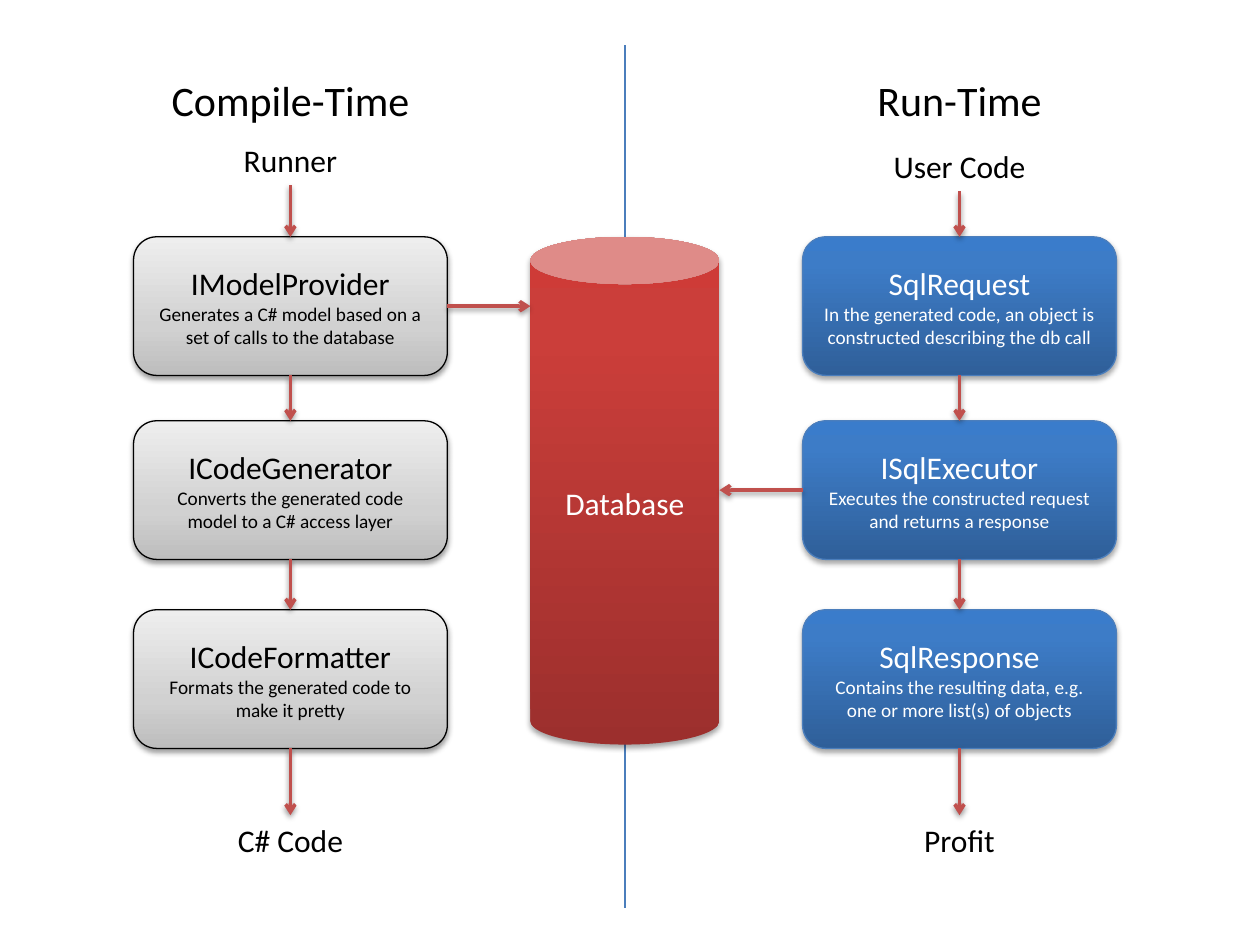
from lxml import etree
from pptx import Presentation
from pptx.dml.color import RGBColor
from pptx.enum.shapes import MSO_CONNECTOR, MSO_SHAPE
from pptx.enum.text import MSO_ANCHOR, PP_ALIGN
from pptx.oxml.ns import qn
from pptx.util import Inches, Pt

BLACK = RGBColor(0x00, 0x00, 0x00)
WHITE = RGBColor(0xFF, 0xFF, 0xFF)
BLUE = RGBColor(0x4B, 0x7E, 0xBC)
RED = RGBColor(0xC0, 0x50, 0x4D)
GREY_FADE = [(0, RGBColor(0xBD, 0xBD, 0xBD)), (35, RGBColor(0xD1, 0xD1, 0xD1)),
             (100, RGBColor(0xEE, 0xEE, 0xEE))]
BLUE_FADE = [(0, RGBColor(0x2F, 0x5F, 0x99)), (80, RGBColor(0x3D, 0x7C, 0xC7)),
             (100, RGBColor(0x3A, 0x7C, 0xCB))]
RED_FADE = [(0, RGBColor(0x9C, 0x2F, 0x2D)), (80, RGBColor(0xCB, 0x3E, 0x3A)),
            (100, RGBColor(0xCE, 0x3B, 0x37))]

FONT = "Calibri"
COLUMN_W, STEP_H = 2.49, 1.1
LEFT_X, RIGHT_X = 1.06, 6.37
STEP_TOPS = (1.88, 3.34, 4.84)
HEADING_TOP, HEADING_H = 0.54, 0.5
LABEL_H, RESULT_TOP = 0.4, 6.47
DATABASE = (4.21, STEP_TOPS[0], 1.5, 4.03)


def add_child(parent, tag, **attributes):
    child = etree.SubElement(parent, qn(tag))
    for name, value in attributes.items():
        child.set(name, str(value))
    return child


def set_effects(shape, shadow=None):
    effects = add_child(shape._element.spPr, "a:effectLst")
    if shadow:
        opacity, distance = shadow
        outer = add_child(effects, "a:outerShdw", blurRad=Pt(3.1), dist=Pt(distance),
                          dir=90 * 60000, rotWithShape=0)
        color = add_child(outer, "a:srgbClr", val=BLACK)
        add_child(color, "a:alpha", val=opacity * 1000)


def set_fade(shape, stops):
    shape.fill.gradient()
    shape.fill.gradient_angle = 90
    stop_list = shape._element.spPr.find(".//" + qn("a:gsLst"))
    for old_stop in list(stop_list):
        stop_list.remove(old_stop)
    for position, color in stops:
        stop = add_child(stop_list, "a:gs", pos=position * 1000)
        add_child(stop, "a:srgbClr", val=color)


def write(shape, lines, color, anchor=MSO_ANCHOR.MIDDLE):
    frame = shape.text_frame
    frame.word_wrap = True
    frame.vertical_anchor = anchor
    for number, (text, size) in enumerate(lines):
        paragraph = frame.add_paragraph() if number else frame.paragraphs[0]
        paragraph.alignment = PP_ALIGN.CENTER
        paragraph.space_before = Pt(0)
        run = paragraph.add_run()
        run.text = text
        run.font.name, run.font.size, run.font.bold = FONT, Pt(size), False
        run.font.color.rgb = color


def place(shape, box):
    shape.left, shape.top, shape.width, shape.height = map(Inches, box)


def add_line(slide, start, end, color, width):
    line = slide.shapes.add_connector(MSO_CONNECTOR.STRAIGHT, *map(Inches, start + end))
    line.line.color.rgb = color
    line.line.width = Pt(width)
    return line


def add_divider(slide, x, top, bottom):
    set_effects(add_line(slide, (x, top), (x, bottom), BLUE, 0.75))


def add_arrow(slide, start, end):
    arrow = add_line(slide, start, end, RED, 2)
    add_child(arrow.line._get_or_add_ln(), "a:tailEnd", type="arrow")
    set_effects(arrow, (38, 1.6))


def add_block(slide, kind, box, lines, fade, outline, color, shadow):
    block = slide.shapes.add_shape(kind, *map(Inches, box))
    set_fade(block, fade)
    if outline is None:
        block.line.fill.background()
    else:
        block.line.color.rgb = outline
        block.line.width = Pt(0.75)
    set_effects(block, shadow)
    write(block, lines, color)


def add_label(slide, box, text):
    label = slide.shapes.add_textbox(*map(Inches, box))
    write(label, [(text, 18)], BLACK, MSO_ANCHOR.TOP)


def add_flow(slide, x, heading, title, source, source_top, steps, result, style):
    place(heading, (x, HEADING_TOP, COLUMN_W, HEADING_H))
    write(heading, [(title, 24)], BLACK, MSO_ANCHOR.TOP)
    add_label(slide, (x, source_top, COLUMN_W, LABEL_H), source)
    for top, (name, detail) in zip(STEP_TOPS, steps):
        add_block(slide, MSO_SHAPE.ROUNDED_RECTANGLE, (x, top, COLUMN_W, STEP_H),
                  [(name, 18), (detail, 11)], *style)
    add_label(slide, (x, RESULT_TOP, COLUMN_W, LABEL_H), result)
    center = x + COLUMN_W / 2
    starts = [source_top + LABEL_H] + [top + STEP_H for top in STEP_TOPS]
    for start, end in zip(starts, STEP_TOPS + (RESULT_TOP,)):
        add_arrow(slide, (center, start), (center, end))


def add_database(slide, box):
    add_block(slide, MSO_SHAPE.CAN, box, [("Database", 18)],
              RED_FADE, None, WHITE, (35, 1.8))
    left, width = box[0], box[2]
    provider_y, executor_y = (top + STEP_H / 2 for top in STEP_TOPS[:2])
    add_arrow(slide, (LEFT_X + COLUMN_W, provider_y), (left, provider_y))
    add_arrow(slide, (RIGHT_X, executor_y), (left + width, executor_y))


presentation = Presentation()
presentation.slide_width, presentation.slide_height = Inches(10), Inches(7.5)
slide = presentation.slides.add_slide(presentation.slide_layouts.get_by_name("Comparison"))
headings = {p.placeholder_format.idx: p for p in slide.placeholders}
for index in (0, 2, 4):
    unused = headings[index]._element
    unused.getparent().remove(unused)

add_divider(slide, 4.96, 0.36, 7.21)
add_flow(slide, LEFT_X, headings[1], "Compile-Time", "Runner", 1.07, [
    ("IModelProvider", "Generates a C# model based on a set of calls to the database"),
    ("ICodeGenerator", "Converts the generated code model to a C# access layer"),
    ("ICodeFormatter", "Formats the generated code to make it pretty"),
], "C# Code", (GREY_FADE, BLACK, BLACK, (38, 1.6)))
add_flow(slide, RIGHT_X, headings[3], "Run-Time", "User Code", 1.12, [
    ("SqlRequest", "In the generated code, an object is constructed describing the db call"),
    ("ISqlExecutor", "Executes the constructed request and returns a response"),
    ("SqlResponse", "Contains the resulting data, e.g. one or more list(s) of objects"),
], "Profit", (BLUE_FADE, BLUE, WHITE, (35, 1.8)))
add_database(slide, DATABASE)
presentation.save("out.pptx")
